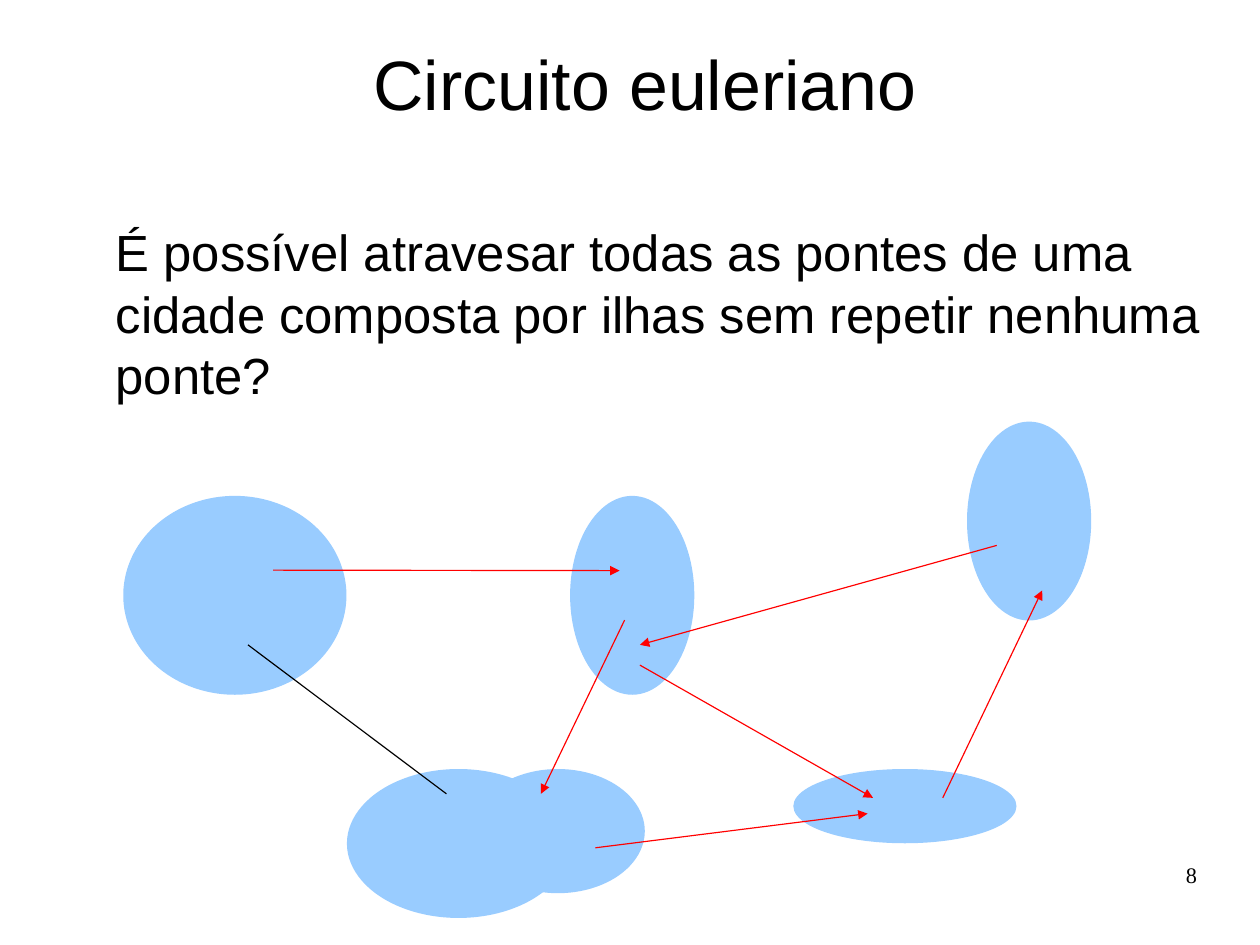
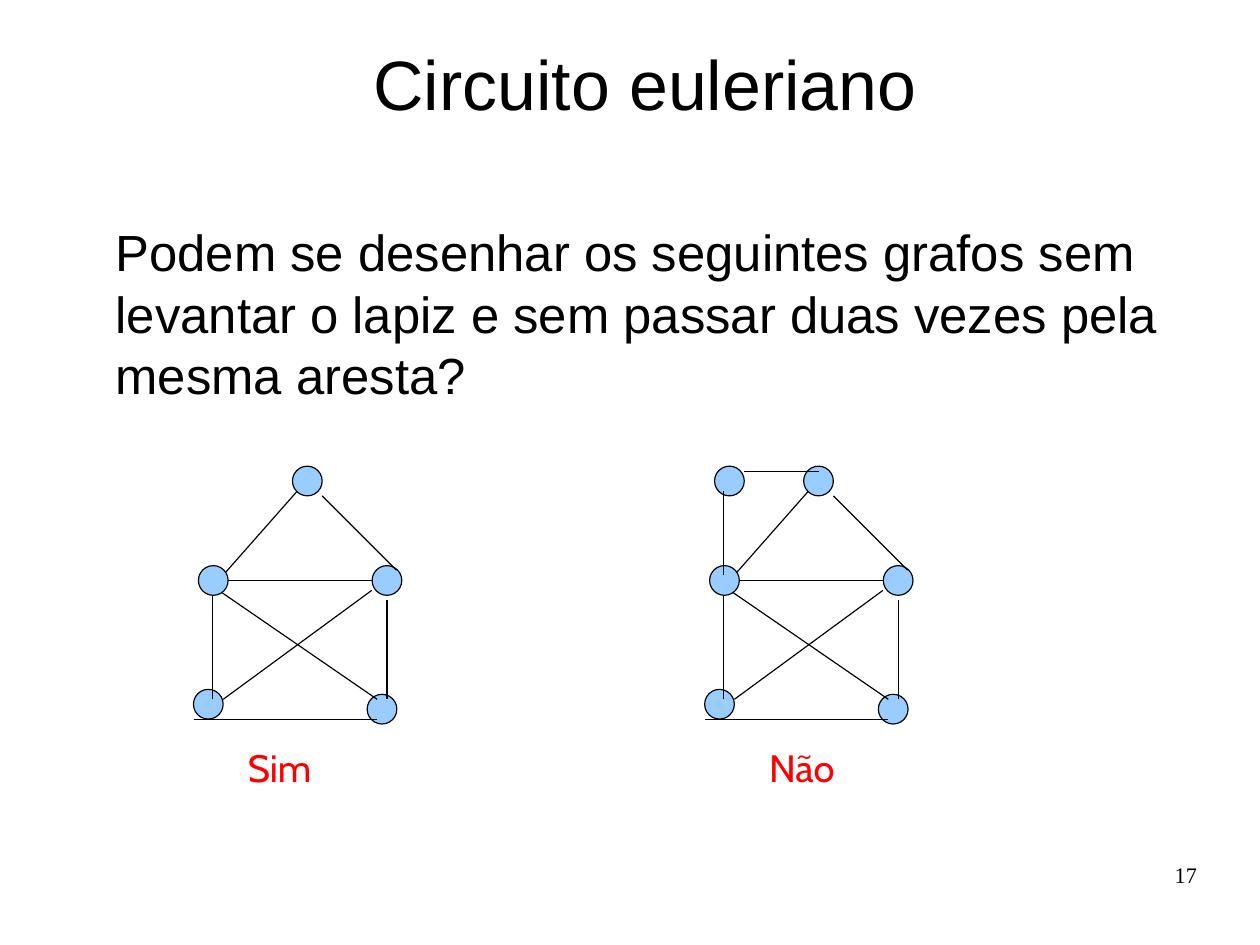
"""Build two slides on Eulerian circuits: a bridge map and two graphs."""
from lxml.etree import SubElement
from pptx import Presentation
from pptx.dml.color import RGBColor
from pptx.enum.shapes import MSO_CONNECTOR as CONN, MSO_SHAPE as SHAPE
from pptx.enum.text import MSO_ANCHOR as ANCHOR, PP_ALIGN as ALIGN
from pptx.oxml.ns import qn
from pptx.util import Emu, Pt

SCALE = 3600
COLORS = {"ink": "000000", "red": "FF0000", "node": "99CCFF"}
STYLES = {
    "title": {"font": {"name": "Arial", "size": Pt(44)}, "color": "ink",
              "para": {"alignment": ALIGN.CENTER, "line_spacing": 1.02},
              "anchor": ANCHOR.MIDDLE},
    "body": {"font": {"name": "Arial", "size": Pt(32)}, "color": "ink",
             "para": {"alignment": ALIGN.LEFT, "line_spacing": 1.01},
             "anchor": ANCHOR.TOP},
    "answer": {"font": {"name": "Cabin", "size": Pt(24)}, "color": "red",
               "para": {"alignment": ALIGN.LEFT, "line_spacing": 1.01},
               "anchor": ANCHOR.TOP},
    "number": {"font": {"name": "Times New Roman", "size": Pt(14)}, "color": "ink",
               "para": {"alignment": ALIGN.RIGHT},
               "anchor": ANCHOR.TOP},
}
ISLANDS = [(274, 1102, 496, 442), (1763, 1709, 496, 165), (1267, 1102, 276, 442),
           (2149, 937, 276, 442), (771, 1709, 496, 331), (1047, 1709, 386, 276)]
CROSSED_BRIDGES = [(607, 1267, 1377, 1268), (1323, 1884, 1928, 1808),
                   (2095, 1773, 2316, 1312), (2215, 1212, 1422, 1433),
                   (1388, 1378, 1202, 1764), (1422, 1478, 1940, 1773)]
OPEN_BRIDGE = (551, 1433, 992, 1764)

NODE = 66
GRAPH_STEP = 1136
HOUSE_NODES = [(650, 1036), (816, 1543), (430, 1532), (827, 1257)]
HOUSE_EDGES = [(496, 1554, 826, 1312), (838, 1554, 486, 1312), (496, 1278, 660, 1092),
               (716, 1102, 881, 1267), (860, 1334, 860, 1554), (838, 1598, 430, 1598),
               (472, 1554, 472, 1312), (472, 1290, 827, 1290)]
LEFT_NODE = (441, 1257)
CHIMNEY_NODE = (452, 1036)
CHIMNEY_EDGES = [(472, 1278, 472, 1092), (518, 1047, 683, 1047)]


def px(n):
    """Turn px into EMU."""
    return Emu(n * SCALE)


def rgb(name):
    """Look up a named colour."""
    return RGBColor.from_string(COLORS[name])


def assign(obj, values):
    """Set attributes from a dict of format values."""
    for key, value in values.items():
        setattr(obj, key, value)


def add_text(s, text, style, *box):
    """Add a text box without margins in a named style."""
    look = STYLES[style]
    tf = s.shapes.add_textbox(*map(px, box)).text_frame
    assign(tf, {"word_wrap": True, "vertical_anchor": look["anchor"],
                "margin_left": 0, "margin_right": 0,
                "margin_top": 0, "margin_bottom": 0})
    p = tf.paragraphs[0]
    assign(p, look["para"])
    r = p.add_run()
    r.text = text
    assign(r.font, look["font"])
    r.font.color.rgb = rgb(look["color"])


def add_ellipse(s, box, outlined=False):
    """Add a blue ellipse, with a thin outline if asked."""
    sp = s.shapes.add_shape(SHAPE.OVAL, *map(px, box))
    sp.shadow.inherit = False
    sp.fill.solid()
    sp.fill.fore_color.rgb = rgb("node")
    if outlined:
        sp.line.color.rgb = rgb("ink")
        sp.line.width = Pt(0.75)
    else:
        sp.line.fill.background()


def add_line(s, ends, color="ink", arrow=False):
    """Add a thin straight line, with an arrowhead at its end if asked."""
    line = s.shapes.add_connector(CONN.STRAIGHT, *map(px, ends))
    line.line.color.rgb = rgb(color)
    line.line.width = Pt(0.75)
    if arrow:
        SubElement(line.line._get_or_add_ln(), qn("a:tailEnd"), type="triangle")
    SubElement(line._element.spPr, qn("a:effectLst"))


def add_graph(s, dx, chimney=False):
    """Draw the house graph shifted by dx, with a chimney if asked."""
    def nodes(corners):
        """Draw a node at each corner."""
        for x, y in corners:
            add_ellipse(s, (x + dx, y, NODE, NODE), outlined=True)

    def edges(lines):
        """Draw each edge."""
        for x1, y1, x2, y2 in lines:
            add_line(s, (x1 + dx, y1, x2 + dx, y2))

    nodes(HOUSE_NODES)
    edges(HOUSE_EDGES)
    nodes([LEFT_NODE])
    if chimney:
        nodes([CHIMNEY_NODE])
        edges(CHIMNEY_EDGES)


def add_slide(prs, question, number):
    """Add a slide with the shared title, a question and a number."""
    s = prs.slides.add_slide(prs.slide_layouts[6])
    add_text(s, "Circuito euleriano", "title", 442, 86, 1984, 190)
    add_text(s, question, "body", 257, 490, 2449, 1209)
    add_text(s, str(number), "number", 2007, 1913, 653, 145)
    return s


def main():
    """Build and save the presentation."""
    prs = Presentation()
    prs.slide_width, prs.slide_height = px(2800), px(2100)

    s = add_slide(prs, "É possível atravesar todas as pontes de uma cidade composta "
                       "por ilhas sem repetir nenhuma ponte?", 8)
    for island in ISLANDS:
        add_ellipse(s, island)
    for bridge in CROSSED_BRIDGES:
        add_line(s, bridge, "red", arrow=True)
    add_line(s, OPEN_BRIDGE)

    s = add_slide(prs, "Podem se desenhar os seguintes grafos sem levantar o lapiz "
                       "e sem passar duas vezes pela mesma aresta?", 17)
    add_graph(s, 0)
    add_graph(s, GRAPH_STEP, chimney=True)
    for answer, left in (("Sim", 551), ("Não", 1709)):
        add_text(s, answer, "answer", left, 1653, 330, 165)

    prs.save("out.pptx")


if __name__ == "__main__":
    main()
